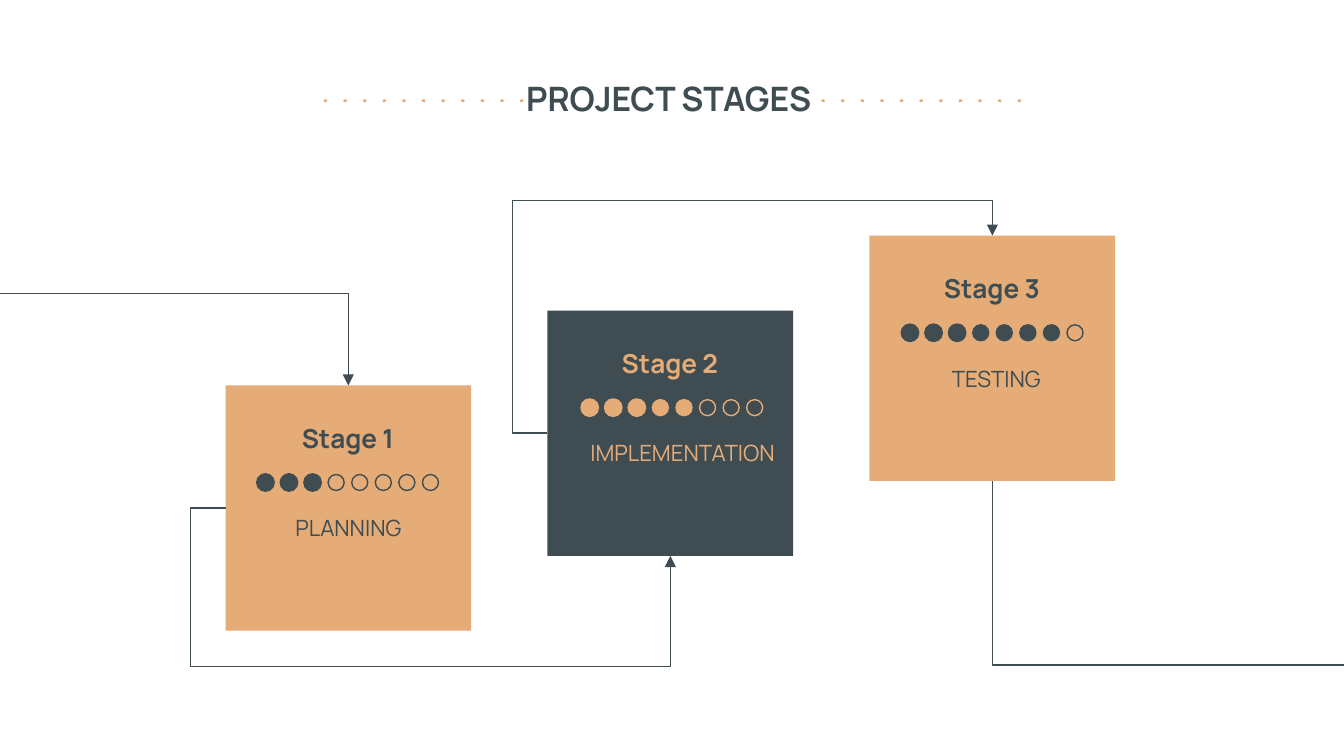
"""Build the project stages slide: three linked stage cards with progress dots."""
import pptx
import pptx.dml.color
import pptx.enum.shapes
import pptx.enum.text
import pptx.oxml
import pptx.oxml.ns
import pptx.util

Pt = pptx.util.Pt
SHAPE = pptx.enum.shapes.MSO_SHAPE
ANCHOR = pptx.enum.text.MSO_ANCHOR
COLORS = {"sand": "E5AC77", "slate": "3F4D53"}
TOP, LEFT, BOTTOM = 0, 1, 2
CARD_W, CARD_H = 131.6, 131.4
STEPS, BOLD_STEPS, STEP_PITCH, STEP_SIZE = 8, 3, 12.63, 8.6
STAGES = [
    dict(name="Stage 1", task="PLANNING", done=3, card="sand", ink="slate",
         steps_dx=17.1, task_dx=13, task_w=105.8),
    dict(name="Stage 2", task="IMPLEMENTATION", done=5, card="slate", ink="sand",
         steps_dx=18.3, task_dx=13, task_w=118.8),
    dict(name="Stage 3", task="TESTING", done=7, card="sand", ink="slate",
         steps_dx=17.4, task_dx=15.1, task_w=105.8),
]


def rgb(color):
    return pptx.dml.color.RGBColor.from_string(COLORS[color])


def add_text(slide, text, left, top, width, height, *, size, color,
             bold=False, anchor=ANCHOR.TOP, space_after=0):
    frame = slide.shapes.add_textbox(Pt(left), Pt(top), Pt(width), Pt(height)).text_frame
    frame.word_wrap = True
    frame.vertical_anchor = anchor
    frame.margin_left = frame.margin_right = Pt(7.2)
    frame.margin_top = frame.margin_bottom = Pt(7.2)
    paragraph = frame.paragraphs[0]
    paragraph.alignment = pptx.enum.text.PP_ALIGN.CENTER
    paragraph.space_after = Pt(space_after)
    run = paragraph.add_run()
    run.text = text
    run.font.name = "Manrope"
    run.font.size = Pt(size)
    run.font.bold = bold
    run.font.color.rgb = rgb(color)


def add_figure(slide, kind, left, top, width, height, *, fill=None, line=None, weight=0.75):
    figure = slide.shapes.add_shape(kind, Pt(left), Pt(top), Pt(width), Pt(height))
    figure.shadow.inherit = False
    if fill:
        figure.fill.solid()
        figure.fill.fore_color.rgb = rgb(fill)
    else:
        figure.fill.background()
    if line:
        figure.line.color.rgb = rgb(line)
        figure.line.width = Pt(weight)
    else:
        figure.line.fill.background()
    return figure


def add_dotted_rule(slide, left):
    for i in range(11):
        add_figure(slide, SHAPE.OVAL, left + i * 10.51, 53.2, 1.9, 1.6, fill="sand")


def add_link(slide, start, end, *, bends=(), arrow=True):
    """Draw an elbow link whose ends are points or (card, side) pairs."""
    link = slide.shapes.add_connector(pptx.enum.shapes.MSO_CONNECTOR.ELBOW, *locate(start), *locate(end))
    for (anchor, side), attach in ((start, link.begin_connect), (end, link.end_connect)):
        if not isinstance(anchor, (int, float)):
            attach(anchor, side)
    link.line.color.rgb = rgb("slate")
    link.line.width = Pt(0.75)
    properties = link._element.spPr
    geometry = properties.find(pptx.oxml.ns.qn("a:prstGeom"))
    geometry.set("prst", f"bentConnector{2 + len(bends)}")
    guides = geometry.get_or_add_avLst()
    for i, bend in enumerate(bends, 1):
        guide = pptx.oxml.parse_xml(f'<a:gd {pptx.oxml.ns.nsdecls("a")} name="adj{i}" fmla="val {bend}"/>')
        guides.append(guide)
    if arrow:
        link.line._get_or_add_ln().append(
            pptx.oxml.parse_xml(f'<a:tailEnd {pptx.oxml.ns.nsdecls("a")} type="triangle"/>'))
    properties.append(pptx.oxml.parse_xml(f'<a:effectLst {pptx.oxml.ns.nsdecls("a")}/>'))


def locate(point):
    anchor, side = point
    if isinstance(anchor, (int, float)):
        return Pt(anchor), Pt(side)
    x = anchor.left if side == LEFT else anchor.left + anchor.width // 2
    y = {TOP: anchor.top, LEFT: anchor.top + anchor.height // 2,
         BOTTOM: anchor.top + anchor.height}[side]
    return x, y


def add_progress(slide, left, top, done, color):
    for i in range(STEPS):
        add_figure(slide, SHAPE.OVAL, left + i * STEP_PITCH, top, STEP_SIZE, STEP_SIZE,
                   fill=color if i < done else None, line=color,
                   weight=1.5 if i < BOLD_STEPS else 0.75)


def add_stage_content(slide, stage, left, top):
    add_text(slide, stage["name"], left + 10.9, top + 14.4, 109.4, 27.4,
             size=14, color=stage["ink"], bold=True, anchor=ANCHOR.MIDDLE)
    add_text(slide, stage["task"], left + stage["task_dx"], top + 61.9, stage["task_w"], 49,
             size=12, color=stage["ink"], space_after=16)
    add_progress(slide, left + stage["steps_dx"], top + 47.7, stage["done"], stage["ink"])


def main():
    deck = pptx.Presentation()
    deck.slide_width, deck.slide_height = Pt(720), Pt(405)
    slide = deck.slides.add_slide(deck.slide_layouts[6])

    add_text(slide, "PROJECT STAGES ", 133.9, 34.6, 452.2, 45.4, size=18, color="slate", bold=True)
    for rule_left in (173.4, 440):
        add_dotted_rule(slide, rule_left)

    corners = [(120.8 + i * 172.5, 206.5 - i * 40.1) for i in range(len(STAGES))]
    planning, implementation, testing = [
        add_figure(slide, SHAPE.RECTANGLE, *corner, CARD_W, CARD_H, fill=stage["card"])
        for stage, corner in zip(STAGES, corners)]

    add_link(slide, (planning, LEFT), (implementation, BOTTOM), bends=(-7900, 331000))
    add_link(slide, (implementation, LEFT), (testing, TOP), bends=(-7900, 117700))
    add_link(slide, (740.2, 356.4), (testing, BOTTOM), arrow=False)
    add_link(slide, (-7.2, 157.2), (planning, TOP))

    for stage, corner in zip(STAGES, corners):
        add_stage_content(slide, stage, *corner)
    deck.save("out.pptx")


if __name__ == "__main__":
    main()
